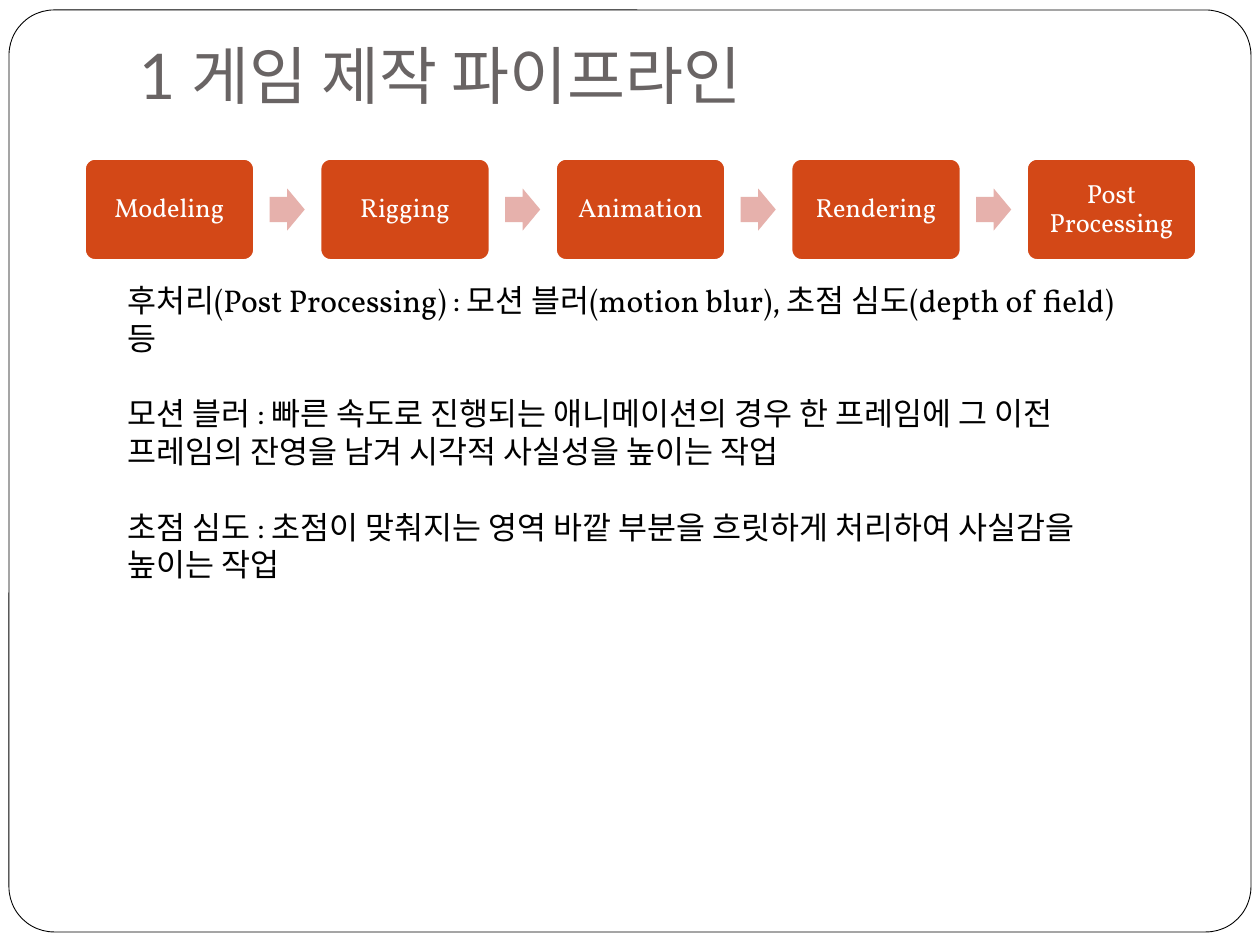
from pptx import Presentation
from pptx.dml.color import RGBColor
from pptx.enum.shapes import MSO_SHAPE as Shape
from pptx.enum.text import MSO_ANCHOR as Anchor, MSO_AUTO_SIZE as AutoSize, PP_ALIGN as Align
from pptx.util import Pt

TITLE = "1 게임 제작 파이프라인"
STAGES = ["Modeling", "Rigging", "Animation", "Rendering", "Post Processing"]
NOTES = [
    "후처리(Post Processing) : 모션 블러(motion blur), 초점 심도(depth of field) 등",
    "모션 블러 : 빠른 속도로 진행되는 애니메이션의 경우 한 프레임에 그 이전 프레임의 잔영을 남겨 시각적 사실성을 높이는 작업",
    "초점 심도 : 초점이 맞춰지는 영역 바깥 부분을 흐릿하게 처리하여 사실감을 높이는 작업",
]

WHITE = RGBColor(0xFF, 0xFF, 0xFF)
BLACK = RGBColor(0, 0, 0)
GRAY = RGBColor(0x69, 0x64, 0x64)
ORANGE = RGBColor(0xD3, 0x48, 0x17)
PINK = RGBColor(0xE6, 0xB1, 0xAC)
HEAD_FONT, BODY_FONT = "Lato", "Vollkorn"

SCALE = 914400 / 126
ROW_LEFT, ROW_RIGHT, ROW_TOP = 85, 1196, 159
STAGE_W, STAGE_H = 169, 101
ARROW_W, ARROW_H = 35, 42


def px(*lengths):
    return [round(length * SCALE) for length in lengths]


def set_insets(frame, left, top, right, bottom):
    frame.margin_left, frame.margin_top, frame.margin_right, frame.margin_bottom = px(
        left, top, right, bottom)


def add_span(para, text, font, size, color):
    span = para.add_run()
    span.text = text
    span.font.name = font
    span.font.size = Pt(size)
    span.font.color.rgb = color


def add_block(page, kind, place, fill, adjustments, line=None, width=1):
    block = page.shapes.add_shape(kind, *px(*place))
    block.shadow.inherit = False
    block.fill.solid()
    block.fill.fore_color.rgb = fill
    for index, value in enumerate(adjustments):
        block.adjustments[index] = value
    if line is None:
        block.line.fill.background()
    else:
        block.line.color.rgb = line
        block.line.width = Pt(width)
    return block


deck = Presentation()
deck.slide_width, deck.slide_height = px(1260, 945)
page = deck.slides.add_slide(deck.slide_layouts[5])

border = add_block(page, Shape.ROUNDED_RECTANGLE, (9, 10, 1242, 922), WHITE, [0.049], BLACK, 0.5)

title = page.shapes.title
border._element.addnext(title._element)
title.left, title.top, title.width, title.height = px(126, 38, 1071, 87)
frame = title.text_frame
frame.auto_size = AutoSize.NONE
frame.vertical_anchor = Anchor.BOTTOM
set_insets(frame, 13, 6, 13, 13)
para = frame.paragraphs[0]
para.alignment = Align.LEFT
add_span(para, TITLE, HEAD_FONT, 36, GRAY)

pitch = (ROW_RIGHT - ROW_LEFT - STAGE_W) / (len(STAGES) - 1)
arrow_shift = (STAGE_W + pitch - ARROW_W) / 2
arrow_top = ROW_TOP + (STAGE_H - ARROW_H) / 2
for index, name in enumerate(STAGES):
    left = ROW_LEFT + index * pitch
    stage = add_block(page, Shape.ROUNDED_RECTANGLE, (left, ROW_TOP, STAGE_W, STAGE_H),
                      ORANGE, [0.1], WHITE)
    frame = stage.text_frame
    frame.word_wrap = True
    frame.vertical_anchor = Anchor.MIDDLE
    set_insets(frame, 11, 11, 11, 11)
    para = frame.paragraphs[0]
    para.alignment = Align.CENTER
    para.line_spacing = 0.9
    add_span(para, name, BODY_FONT, 15, WHITE)
    if index < len(STAGES) - 1:
        add_block(page, Shape.RIGHT_ARROW, (left + arrow_shift, arrow_top, ARROW_W, ARROW_H),
                  PINK, [0.6, 0.5])

box = page.shapes.add_textbox(*px(115, 275, 1042, 318))
frame = box.text_frame
frame.word_wrap = True
for index, note in enumerate(NOTES):
    para = frame.add_paragraph() if index else frame.paragraphs[0]
    para.space_before = Pt(21.5 if index else 0)
    add_span(para, note, BODY_FONT, 18, BLACK)

deck.save("out.pptx")
